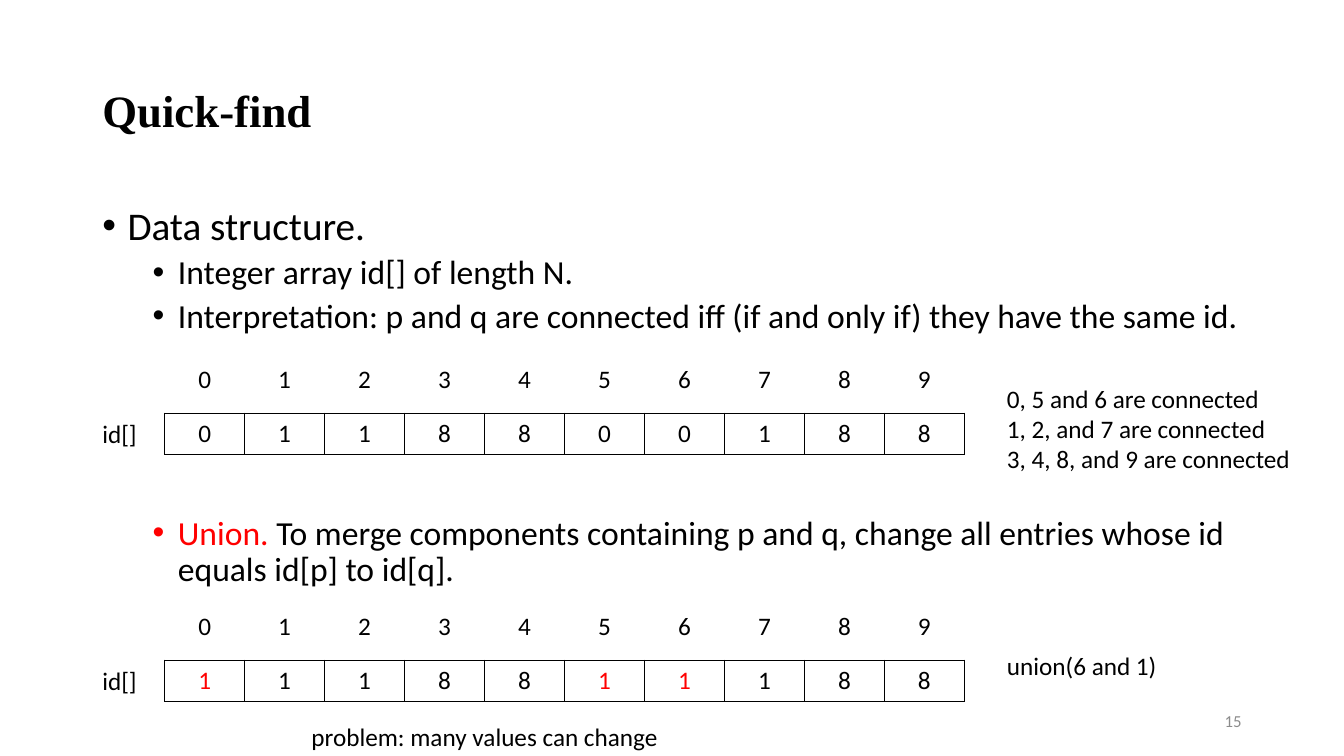
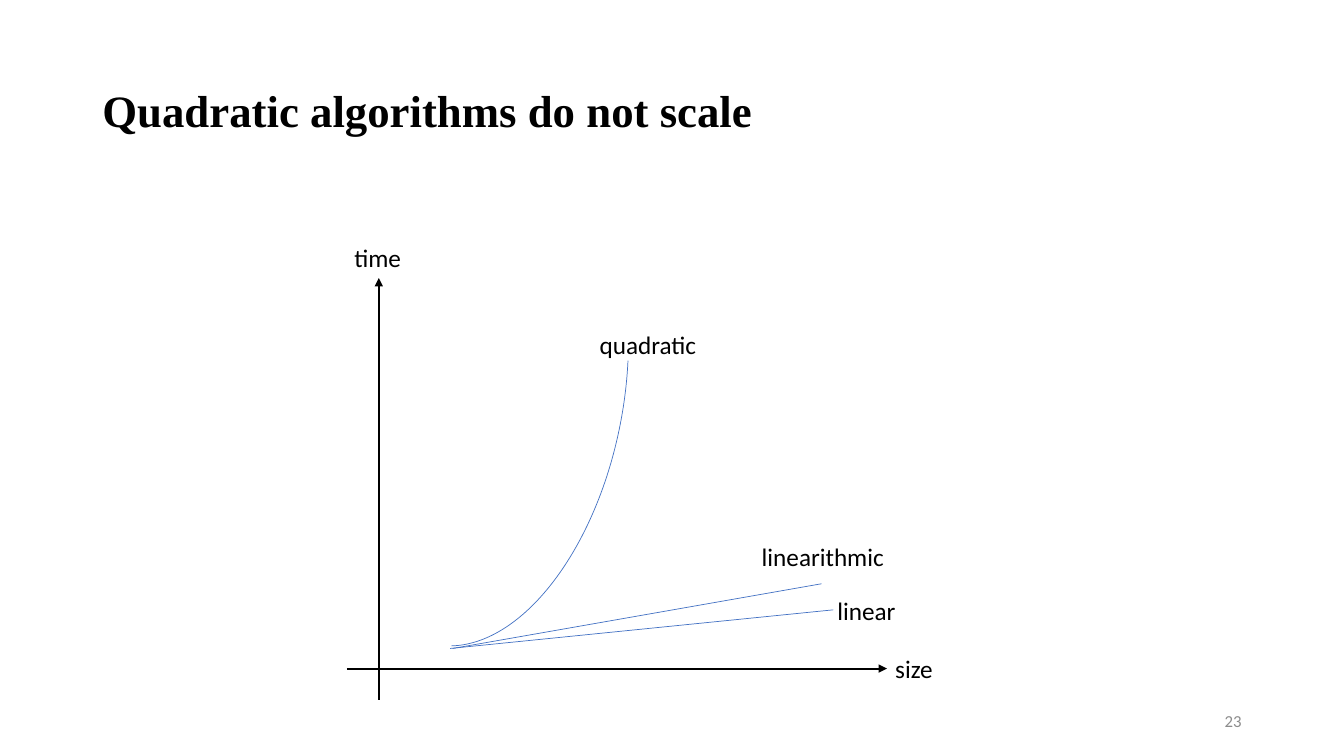
from dataclasses import dataclass

from lxml.etree import SubElement as Sub
from pptx import Presentation
from pptx.dml.color import RGBColor as Rgb
from pptx.enum.shapes import MSO_CONNECTOR as Conn, MSO_SHAPE as Shape
from pptx.enum.text import MSO_ANCHOR as Anchor, PP_ALIGN as Align
from pptx.oxml import parse_xml
from pptx.oxml.ns import nsdecls, qn
from pptx.util import Inches, Pt


@dataclass(frozen=True)
class Theme:
    ink: str = "000000"
    mark: str = "FF0000"
    curve: str = "4472C4"
    mute: str = "8C8C8C"
    head: str = "Times New Roman"
    body: str = "Calibri"
    title: int = 32
    tops: tuple = (28, 24)  # bullet sizes by level
    note: int = 18
    foot: int = 12
    thick: float = 1.5
    edge: float = 1
    thin: float = 0.5


class Deck:
    """Places elements on a grid of 160 columns by 90 rows."""

    cols, rows = 160, 90

    def __init__(self, theme):
        self.theme = theme
        self.prs = Presentation()
        self.prs.slide_width = Inches(13.333)
        self.prs.slide_height = Inches(7.5)

    def grid(self, x, y):
        return (round(self.prs.slide_width * x / self.cols),
                round(self.prs.slide_height * y / self.rows))

    def area(self, x, y, w, h):
        return *self.grid(x, y), *self.grid(w, h)

    def page(self, title, num):
        """Start a slide with its title and number."""
        t = self.theme
        self.slide = self.prs.slides.add_slide(self.prs.slide_layouts[6])
        box = self.box(11, 4.8, 138, 17.4, Anchor.MIDDLE)
        para = box.paragraphs[0]
        para.line_spacing = 0.9
        self.run(para, title, t.title, font=t.head, bold=True)
        box = self.box(113, 83.4, 36, 4.8, Anchor.MIDDLE)
        para = box.paragraphs[0]
        para.alignment = Align.RIGHT
        self.run(para, str(num), t.foot, t.mute)

    def box(self, x, y, w, h, anchor=Anchor.TOP, wrap=True):
        frame = self.slide.shapes.add_textbox(*self.area(x, y, w, h)).text_frame
        frame.word_wrap = wrap
        frame.vertical_anchor = anchor
        return frame

    def run(self, para, text, size, color=None, font=None, bold=False):
        run = para.add_run()
        run.text = text
        run.font.size = Pt(size)
        run.font.name = font or self.theme.body
        run.font.bold = bold
        run.font.color.rgb = Rgb.from_string(color or self.theme.ink)

    def paras(self, frame, count):
        return [frame.paragraphs[0]] + [frame.add_paragraph() for _ in range(count - 1)]

    def note(self, x, y, w, *lines):
        frame = self.box(x, y, w, 1.2 + 3.6 * len(lines), wrap=False)
        for para, line in zip(self.paras(frame, len(lines)), lines):
            self.run(para, line, self.theme.note)

    def points(self, x, y, w, h, items):
        """Each item is (level, space before, runs of (text, colour))."""
        frame = self.box(x, y, w, h)
        for para, (level, space, runs) in zip(self.paras(frame, len(items)), items):
            para.level = level
            para.line_spacing = 0.9
            para.space_before = Pt(space)
            props = para._p.get_or_add_pPr()
            props.set("marL", str(Inches(0.25 + 0.5 * level)))
            props.set("indent", str(Inches(-0.25)))
            Sub(props, qn("a:buFont")).set("typeface", "Arial")
            Sub(props, qn("a:buChar")).set("char", "•")
            for text, color in runs:
                self.run(para, text, self.theme.tops[level], color)

    def strip(self, x, y, w, h, vals, marks=(), edges=False):
        """A one-row table; cells listed in marks are highlighted."""
        t = self.theme
        table = self.slide.shapes.add_table(1, len(vals), *self.area(x, y, w, h)).table
        table.first_row = table.horz_banding = False
        for i, val in enumerate(vals):
            cell = table.cell(0, i)
            cell.fill.background()
            para = cell.text_frame.paragraphs[0]
            para.alignment = Align.CENTER
            self.run(para, str(val), t.note, t.mark if i in marks else t.ink)
            if edges:
                self.frame(cell)

    def frame(self, cell):
        t = self.theme
        props = cell._tc.get_or_add_tcPr()
        for i, side in enumerate("LRTB"):
            props.insert(i, parse_xml(
                f'<a:ln{side} {nsdecls("a")} w="{Pt(t.edge)}"><a:solidFill>'
                f'<a:srgbClr val="{t.ink}"/></a:solidFill></a:ln{side}>'))

    def array(self, y, vals, marks=()):
        """An id[] array under a row of its indices."""
        x, w, h = 19.6, 95.2, 4.87
        self.strip(x, y, w, h, vals, marks, edges=True)
        self.note(11, y, 7.3, "id[]")
        self.strip(x, y - 6.4, w, h, range(len(vals)))

    def line(self, start, end, color, width, arrow=False):
        line = self.slide.shapes.add_connector(
            Conn.STRAIGHT, *self.grid(*start), *self.grid(*end))
        line.line.color.rgb = Rgb.from_string(color)
        line.line.width = Pt(width)
        if arrow:
            Sub(line.line._get_or_add_ln(), qn("a:tailEnd")).set("type", "triangle")
        Sub(line._element.spPr, qn("a:effectLst"))

    def arc(self, x, y, w, h, turn, start, end):
        arc = self.slide.shapes.add_shape(Shape.ARC, *self.area(x, y, w, h))
        arc.shadow.inherit = False
        arc.rotation = turn
        # Angles are stored in 60000ths, adjustments in 100000ths
        arc.adjustments[0], arc.adjustments[1] = start * 0.6, end * 0.6
        arc.fill.background()
        arc.line.color.rgb = Rgb.from_string(self.theme.curve)
        arc.line.width = Pt(self.theme.thin)


def find(deck):
    t = deck.theme
    deck.page("Quick-find", 15)
    deck.points(11, 24, 138, 57.1, [
        (0, 0, [("Data structure.", t.ink)]),
        (1, 5, [("Integer array id[] of length N.", t.ink)]),
        (1, 5, [("Interpretation: p and q are connected iff (if and only if) "
                 "they have the same id.", t.ink)]),
        (1, 129, [("Union. ", t.mark),
                  ("To merge components containing p and q, change all entries "
                   "whose id equals id[p] to id[q].", t.ink)]),
    ])

    # Before the union
    deck.array(49.2, [0, 1, 1, 8, 8, 0, 0, 1, 8, 8])
    deck.note(118.7, 45, 39, "0, 5 and 6 are connected",
              "1, 2, and 7 are connected", "3, 4, 8, and 9 are connected")

    # After the union
    deck.array(78.6, [1, 1, 1, 8, 8, 1, 1, 1, 8, 8], marks=(0, 5, 6))
    deck.note(35.9, 85.3, 44.2, "problem: many values can change")
    deck.note(118.7, 76.8, 20.8, "union(6 and 1)")


def scale(deck):
    t = deck.theme
    deck.page("Quadratic algorithms do not scale", 23)

    # Axes
    for start, end in [((41.3, 79.6), (105.6, 79.6)), ((45.1, 83.3), (45.1, 33.1))]:
        deck.line(start, end, t.ink, t.thick, arrow=True)

    # Growth curves
    for start, end in [((53.6, 77.2), (99.2, 72.6)), ((53.9, 77.2), (97.8, 69.5))]:
        deck.line(start, end, t.curve, t.thin)
    deck.arc(27.8, 31, 59.5, 33.1, turn=101.4, start=243.59, end=356)

    # Labels
    for x, y, w, text in [(41, 28.2, 8, "time"), (105.4, 77.2, 7, "size"),
                          (70.2, 38.6, 14, "quadratic"),
                          (89.5, 63.8, 17.2, "linearithmic"),
                          (98.5, 70.3, 9.5, "linear")]:
        deck.note(x, y, w, text)


def main():
    deck = Deck(Theme())
    find(deck)
    scale(deck)
    deck.prs.save("out.pptx")


if __name__ == "__main__":
    main()
